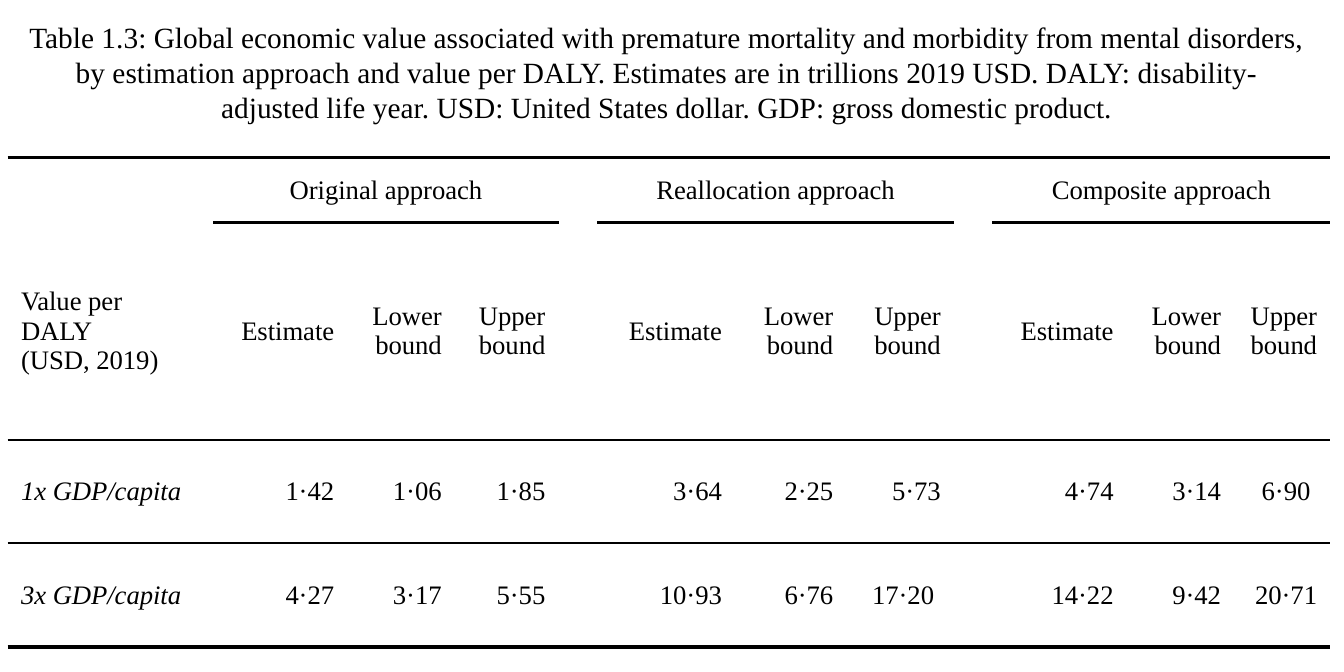
from lxml.etree import SubElement
from pptx import Presentation
from pptx.dml.color import RGBColor
from pptx.enum.text import MSO_ANCHOR as Anchor, MSO_AUTO_SIZE as AutoSize, PP_ALIGN as Align
from pptx.oxml.ns import qn
from pptx.util import Inches, Pt

# Content
CAPTION = (
    "Table 1.3: Global economic value associated with premature mortality and morbidity "
    "from mental disorders, by estimation approach and value per DALY. Estimates are in "
    "trillions 2019 USD. DALY: disability-adjusted life year. USD: United States dollar. "
    "GDP: gross domestic product."
)
APPROACHES = ["Original approach", "Reallocation approach", "Composite approach"]
MEASURES = ["Estimate", "Lower bound", "Upper bound"]
ROW_HEADING = "Value per DALY\n(USD, 2019)"
VALUES = {
    "1x GDP/capita": [("1·42", "1·06", "1·85"), ("3·64", "2·25", "5·73"),
                      ("4·74", "3·14", "6·90 ")],
    "3x GDP/capita": [("4·27", "3·17", "5·55"), ("10·93", "6·76", "17·20 "),
                      ("14·22", "9·42", "20·71")],
}

# Layout and look
LEFT, WIDTH = 0.04, 6.87
COLUMNS = [1.07, 0.7, 0.56, 0.54, 0.2, 0.72, 0.58, 0.56, 0.2, 0.7, 0.56, 0.5]
ROWS = [0.34, 1.13, 0.54, 0.54]
INK, FONT = "000000", "Times New Roman"
THICK, THIN = 1.5, 1
PLAIN_STYLE = "{2D5ABB26-0587-4C30-8999-92F81FD0307C}"


def apply(target, values):
    for name, value in values.items():
        setattr(target, name, value)


def color(hex_text):
    return RGBColor.from_string(hex_text)


def write(frame, text, size, align, italic=False):
    frame.text = text
    for para in frame.paragraphs:
        para.alignment = align
        for span in para.runs:
            apply(span.font, {"name": FONT, "size": Pt(size), "italic": italic})
            span.font.color.rgb = color(INK)


def draw_border(cell, side, points):
    line = SubElement(cell._tc.get_or_add_tcPr(), qn(f"a:ln{side}"), w=str(Pt(points)))
    fill = SubElement(line, qn("a:solidFill"))
    SubElement(fill, qn("a:srgbClr"), val=INK)


def grid_row(label, groups):
    """Label first, then the groups with an empty column between them."""
    cells = [label]
    for index, group in enumerate(groups):
        cells += ([""] if index else []) + list(group)
    return cells


def cell_borders(row, in_group):
    """Border widths by side, top before bottom."""
    top = {0: THICK, 1: THICK if in_group else None, 2: THIN}.get(row)
    bottom = {0: THICK if in_group else None, 1: THIN, len(ROWS) - 1: THICK}.get(row)
    return [(side, points) for side, points in (("T", top), ("B", bottom)) if points]


deck = Presentation()
apply(deck, {"slide_width": Inches(7), "slide_height": Inches(3.5)})
page = deck.slides.add_slide(deck.slide_layouts[5])

# Caption
title = page.shapes.title
apply(title, {"left": Inches(LEFT), "top": Inches(0.05),
              "width": Inches(WIDTH), "height": Inches(0.66)})
apply(title.text_frame, {"word_wrap": True, "auto_size": AutoSize.NONE,
                         "vertical_anchor": Anchor.TOP})
write(title.text_frame, CAPTION, 11, Align.CENTER)

# Table frame
table = page.shapes.add_table(
    len(ROWS), len(COLUMNS), Inches(LEFT), Inches(0.82), Inches(WIDTH), Inches(sum(ROWS))
).table
apply(table, {"first_row": False, "horz_banding": False})
table._tbl.tblPr.find(qn("a:tableStyleId")).text = PLAIN_STYLE
for column, width in zip(table.columns, COLUMNS):
    column.width = Inches(width)
for row, height in zip(table.rows, ROWS):
    row.height = Inches(height)

# Table cells
grid = [
    grid_row("", [(name, "", "") for name in APPROACHES]),
    grid_row(ROW_HEADING, [MEASURES] * len(APPROACHES)),
    *(grid_row(label, groups) for label, groups in VALUES.items()),
]
for r, texts in enumerate(grid):
    for c, text in enumerate(texts):
        cell = table.cell(r, c)
        apply(cell, {"vertical_anchor": Anchor.MIDDLE, "margin_left": Inches(0.07),
                     "margin_right": Inches(0.07), "margin_top": 0, "margin_bottom": 0})
        for side, points in cell_borders(r, c % 4 != 0):
            draw_border(cell, side, points)
        cell.fill.background()
        if text:
            align = Align.CENTER if r == 0 else Align.RIGHT if c else Align.LEFT
            write(cell.text_frame, text, 10, align, italic=text in VALUES)

# Each approach heading spans its measures
for index in range(len(APPROACHES)):
    first = 1 + index * (len(MEASURES) + 1)
    table.cell(0, first).merge(table.cell(0, first + len(MEASURES) - 1))

deck.save("out.pptx")
